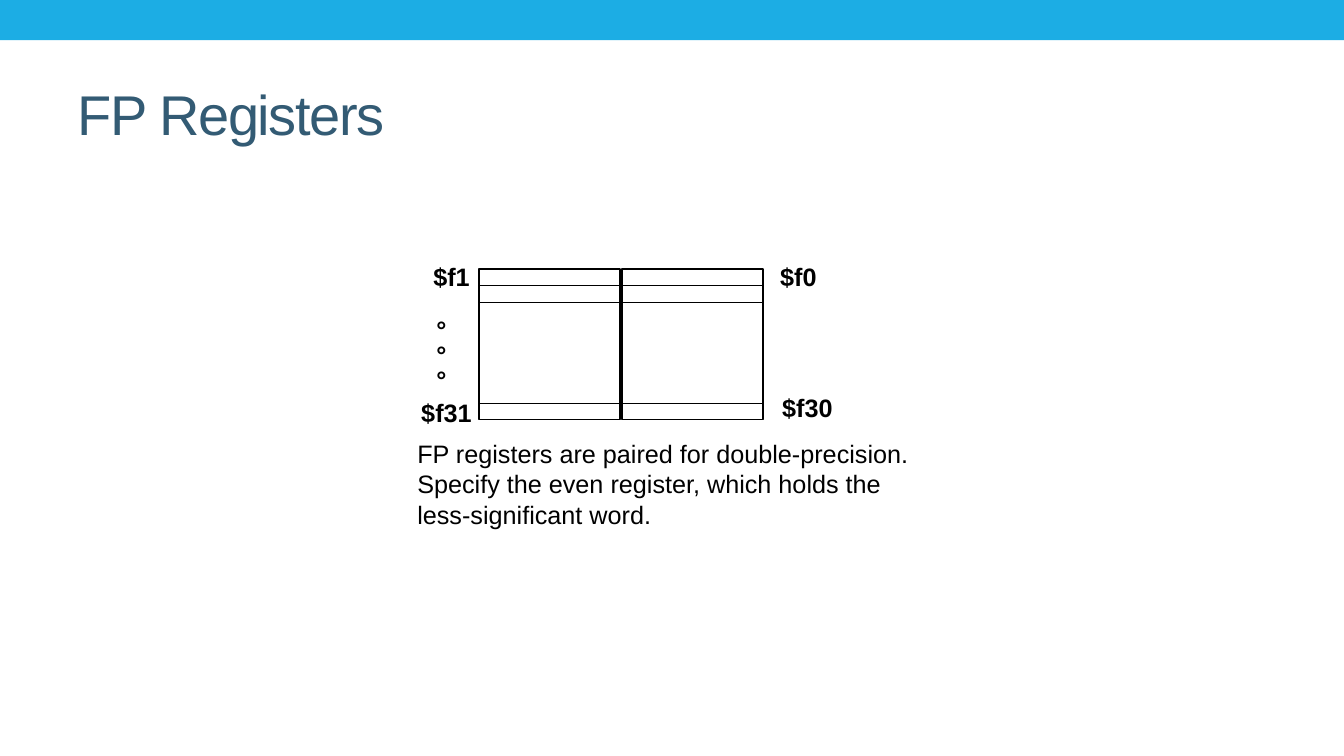
from pptx import Presentation
from pptx.dml.color import RGBColor
from pptx.enum.shapes import MSO_CONNECTOR as Conn, MSO_SHAPE as Shape
from pptx.enum.text import MSO_ANCHOR as Anchor, MSO_AUTO_SIZE as Auto
from pptx.util import Inches, Pt
from lxml.etree import SubElement

BLACK = "000000"
NS = "{http://schemas.openxmlformats.org/drawingml/2006/main}"


def color(text):
    return RGBColor.from_string(text)


def add_text(slide, box, text, size=18, tint=BLACK, bold=False, gap=0, **frame):
    area = slide.shapes.add_textbox(*map(Inches, box)).text_frame
    look = {"word_wrap": False, "auto_size": Auto.SHAPE_TO_FIT_TEXT} | frame
    for name, value in look.items():
        setattr(area, name, value)
    line = area.paragraphs[0]
    line.text = text
    for run in line.runs:
        for name, value in {"name": "Arial", "size": Pt(size), "bold": bold}.items():
            setattr(run.font, name, value)
        run.font.color.rgb = color(tint)
        if gap:
            run.font._element.set("spc", str(gap))


def add_rect(shapes, box, fill=None, line=None):
    rect = shapes.add_shape(Shape.RECTANGLE, *map(Inches, box))
    rect.shadow.inherit = False
    if fill:
        rect.fill.solid()
        rect.fill.fore_color.rgb = color(fill)
    else:
        rect.fill.background()
    if line:
        rect.line.color.rgb = color(line)
        rect.line.width = Pt(1)
    else:
        rect.line.fill.background()


def add_head(slide, left, top, width):
    # Top band and title
    add_rect(slide.shapes, (left, top, width, 0.4), fill="1CADE4")
    add_text(slide, (left + 0.67, top + 0.58, 12, 1.08), "FP Registers",
             size=40, tint="335B74", gap=-100, word_wrap=True,
             auto_size=Auto.NONE, vertical_anchor=Anchor.MIDDLE)


def add_bank(slide, left, top, width, height):
    # One column of registers with its row lines
    group = slide.shapes.add_group_shape()
    add_rect(group.shapes, (left, top, width, height), line=BLACK)
    for drop in (0.16, 0.33, 1.33):
        ends = (left, top + drop, left + width, top + drop)
        rule = group.shapes.add_connector(Conn.STRAIGHT, *map(Inches, ends))
        rule.line.color.rgb = color(BLACK)
        rule.line.width = Pt(1)
        SubElement(rule._element.spPr, NS + "effectLst")


def add_pair(slide, left, top, width, height):
    # Odd and even banks side by side
    bank = 1.4
    for start in (left, left + width - bank):
        add_bank(slide, start, top, bank, height)

    # Register names and dots
    names = [("$f1", -0.55, -0.13, 0.56), ("$f31", -0.67, 1.22, 0.7),
             ("$f0", width + 0.07, -0.13, 0.56), ("$f30", width + 0.09, 1.17, 0.7)]
    dots = [("°", -0.52, 0.4 + 0.25 * step, 0.3) for step in range(3)]
    for text, across, down, wide in names + dots:
        add_text(slide, (left + across, top + down, wide, 0.4), text, bold=True)


def add_note(slide, *box):
    # Explanation below the registers
    add_text(slide, box, "FP registers are paired for double-precision.\n"
             "Specify the even register, which holds the\n"
             "less-significant word.")


def main():
    deck = Presentation()
    deck.slide_width, deck.slide_height = Inches(13.33), Inches(7.5)
    slide = deck.slides.add_slide(deck.slide_layouts[6])
    add_head(slide, 0, 0, 13.33)
    add_pair(slide, 4.75, 2.67, 2.82, 1.49)
    add_note(slide, 4.04, 4.3, 5.08, 1)
    deck.save("out.pptx")


if __name__ == "__main__":
    main()
